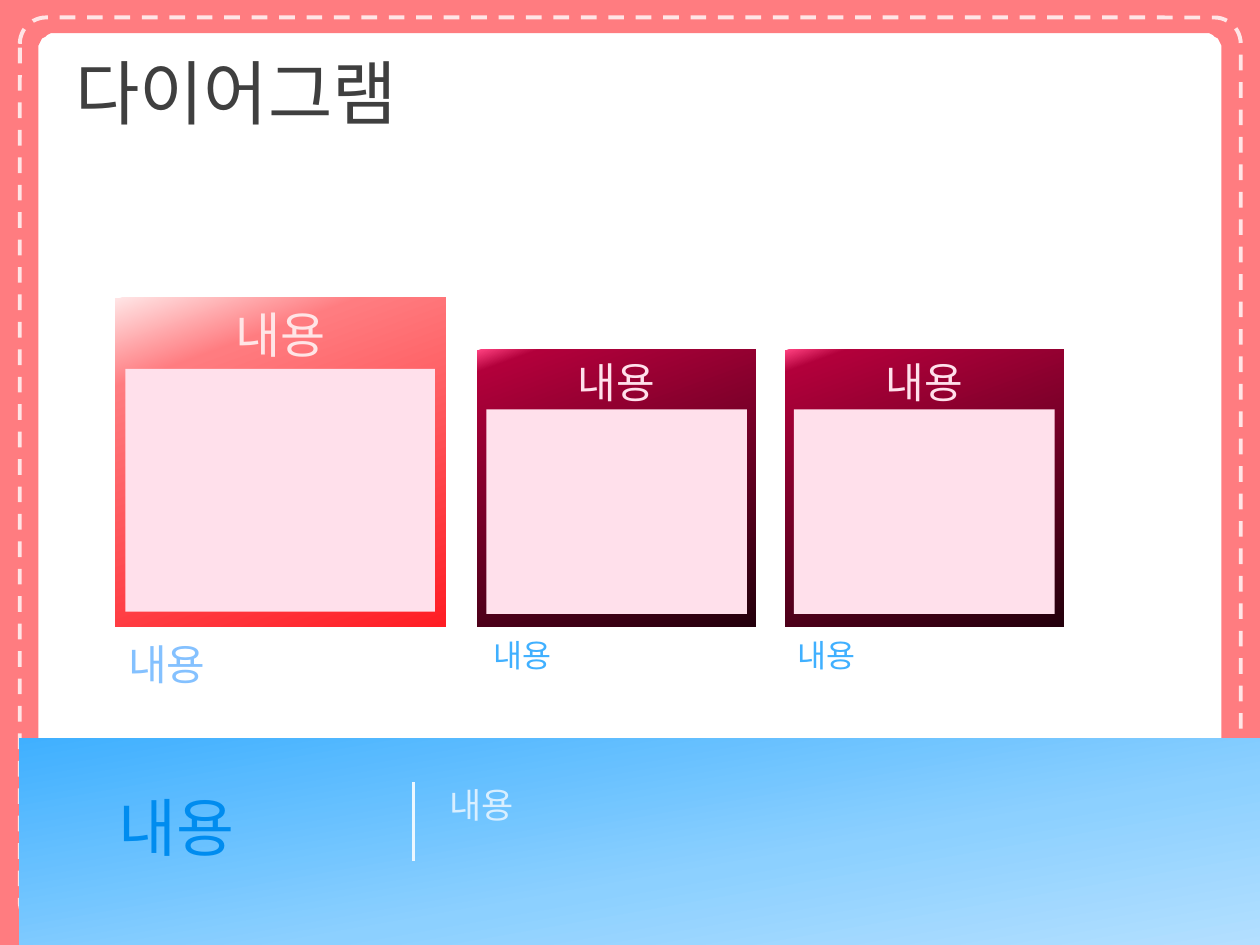
import math
from lxml import etree
from pptx import Presentation
from pptx import util as u
from pptx.dml.color import RGBColor
from pptx.enum import dml, shapes, text
from pptx.oxml.ns import qn

Pt = u.Pt
THEME = {
    "font": "Arial", "frame": "FF7C80", "stitch": "FFE5E6", "panel": "FFE0EB",
    "title": "3F3F3F", "lead_label": "84C1FF", "label": "40B0FF",
    "footer_head": "008CEF", "footer_body": "D9EFFF", "divider": "ECF7FF",
    "lead_card": [(0, "FFE5E6"), (20, "FF7C80"), (100, "FF1D24")],
    "card": [(0, "FF4281"), (6, "B2003B"), (100, "24000C")],
    "footer": [(0, "B3DFFF"), (40, "8CD0FF"), (100, "40B0FF")],
    "size": {"title": 40, "footer_head": 36, "lead": 28, "head": 24,
             "lead_label": 24, "footer_body": 20, "label": 18},
}
SIZE = THEME["size"]
TOP, MIDDLE = text.MSO_ANCHOR.TOP, text.MSO_ANCHOR.MIDDLE
LEFT, CENTER = text.PP_ALIGN.LEFT, text.PP_ALIGN.CENTER

prs = Presentation()
prs.slide_width, prs.slide_height = Pt(720), Pt(540)
slide = prs.slides.add_slide(prs.slide_layouts[6])


def write(shape, words, size, color, align=LEFT, anchor=TOP, **frame_format):
    frame = shape.text_frame
    values = {"word_wrap": True, "vertical_anchor": anchor, **frame_format}
    for name, value in values.items():
        setattr(frame, name, value)
    paragraph = frame.paragraphs[0]
    paragraph.alignment = align
    run = paragraph.add_run()
    run.text = words
    run.font.name, run.font.size = THEME["font"], Pt(size)
    run.font.color.rgb = RGBColor.from_string(color)
    return paragraph


def block(box, fill, angle=70):
    shape = slide.shapes.add_shape(shapes.MSO_SHAPE.RECTANGLE, *map(Pt, box))
    shape.shadow.inherit = False
    shape.line.fill.background()
    if isinstance(fill, str):
        shape.fill.solid()
        shape.fill.fore_color.rgb = RGBColor.from_string(fill)
        return shape
    shape.fill.gradient()
    shape.fill.gradient_angle = 360 - angle
    stops = shape._element.spPr.find(".//" + qn("a:gsLst"))
    for stop in list(stops):
        stops.remove(stop)
    for position, color in fill:
        stop = etree.SubElement(stops, qn("a:gs"), pos=str(position * 1000))
        etree.SubElement(stop, qn("a:srgbClr"), val=color)
    return shape


# Page frame with a rounded opening
left, top, right, bottom, radius = 21.8, 18.7, 698.2, 521.3, 10.5
corners = [(right - radius, bottom - radius, 0), (left + radius, bottom - radius, 90),
           (left + radius, top + radius, 180), (right - radius, top + radius, 270)]
opening = []
for x, y, start in corners:
    for step in range(0, 91, 10):
        turn = math.radians(start + step)
        opening.append((x + radius * math.cos(turn), y + radius * math.sin(turn)))
outline = slide.shapes.build_freeform(0, 0, scale=float(Pt(1)))
outline.add_line_segments([(0, 540), (720, 540), (720, 0)], close=True)
outline.move_to(*opening[0])
outline.add_line_segments(opening[1:], close=True)
frame = outline.convert_to_shape()
frame.shadow.inherit = False
frame.fill.solid()
frame.fill.fore_color.rgb = RGBColor.from_string(THEME["frame"])
frame.line.fill.background()

# Dashed stitching
stitch = slide.shapes.add_shape(shapes.MSO_SHAPE.ROUNDED_RECTANGLE,
                                Pt(11.3), Pt(10), Pt(697.7), Pt(520))
stitch.adjustments[0] = 0.029
stitch.shadow.inherit = False
stitch.fill.background()
stitch.line.color.rgb = RGBColor.from_string(THEME["stitch"])
stitch.line.width = Pt(2.25)
stitch.line.dash_style = dml.MSO_LINE.DASH

# Cards, each with an inner panel
cards = [
    ((65.8, 170.3, 189, 188), (71.6, 210.8, 177, 138.7), "lead_card", "lead", "stitch"),
    ((272.6, 200, 159.4, 158.3), (277.9, 234, 149, 116.8), "card", "head", "panel"),
    ((448.6, 200, 159.4, 158.3), (453.7, 234, 149, 116.8), "card", "head", "panel"),
]
for card_box, panel_box, fill, size, color in cards:
    write(block(card_box, THEME[fill]), "내용", SIZE[size], THEME[color], CENTER)
    block(panel_box, THEME["panel"])

# Footer band and divider
block((11, 421.8, 709, 118.2), THEME["footer"], 260)
divider = slide.shapes.add_connector(shapes.MSO_CONNECTOR.STRAIGHT,
                                     Pt(236.2), Pt(446.9), Pt(236.2), Pt(492))
divider.line.color.rgb = RGBColor.from_string(THEME["divider"])
divider.line.width = Pt(2)
etree.SubElement(divider._element.spPr, qn("a:effectLst"))

# Title, card labels and footer text
GROW = {"auto_size": text.MSO_AUTO_SIZE.SHAPE_TO_FIT_TEXT}
FLUSH = dict.fromkeys(("margin_left", "margin_top", "margin_right", "margin_bottom"), 0)
captions = [
    ("다이어그램", (36, 21.6, 648, 61.2), "title", {"anchor": MIDDLE}),
    ("내용", (66.2, 361.4, 187.2, 36), "lead_label", GROW),
    ("내용", (275, 360, 157, 29), "label", GROW),
    ("내용", (448.6, 360, 157.7, 29), "label", GROW),
    ("내용", (67.7, 450.7, 155.5, 43.2), "footer_head", {"anchor": MIDDLE, **GROW, **FLUSH}),
    ("내용", (249.8, 444.2, 419.8, 55.4), "footer_body", GROW),
]
for words, box, role, options in captions:
    caption = slide.shapes.add_textbox(*map(Pt, box))
    paragraph = write(caption, words, SIZE[role], THEME[role], **options)
    if role == "footer_body":
        indent = paragraph._p.get_or_add_pPr()
        indent.set("marL", str(Pt(13.5)))
        indent.set("indent", str(-Pt(13.5)))

prs.save("out.pptx")
